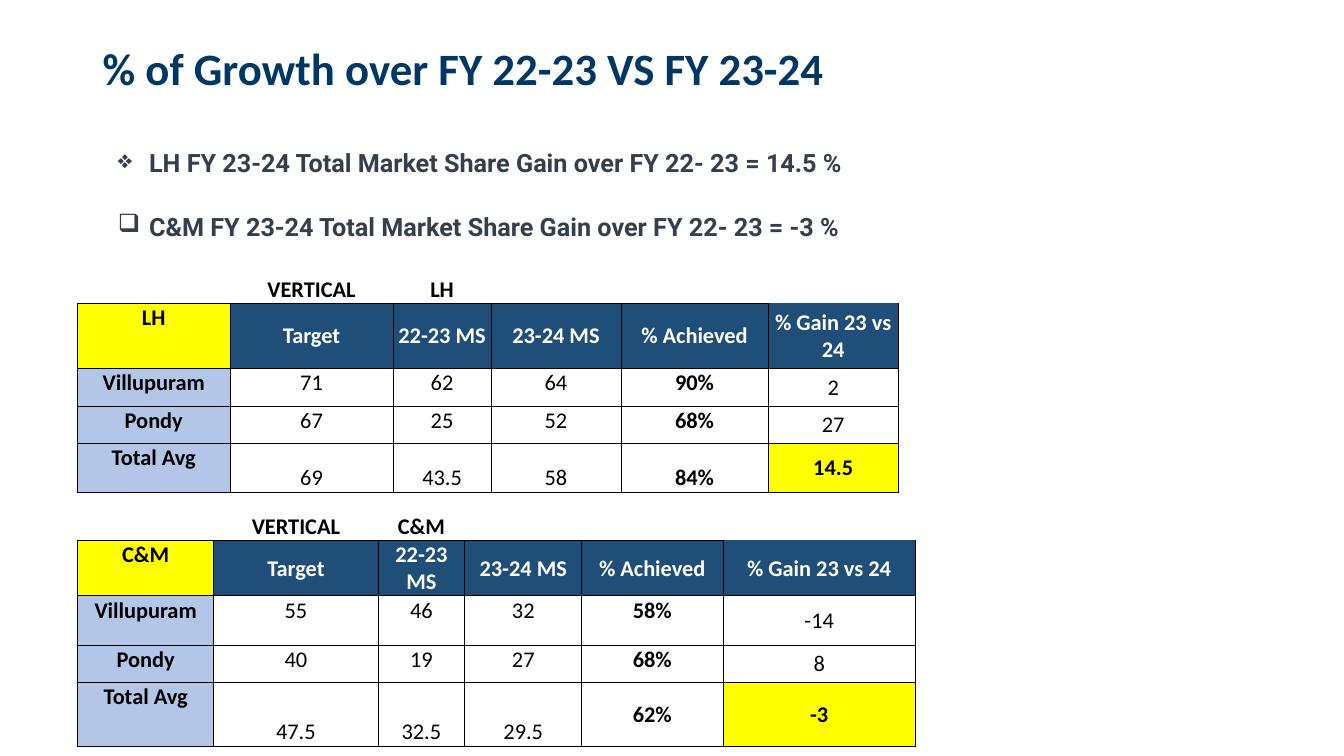
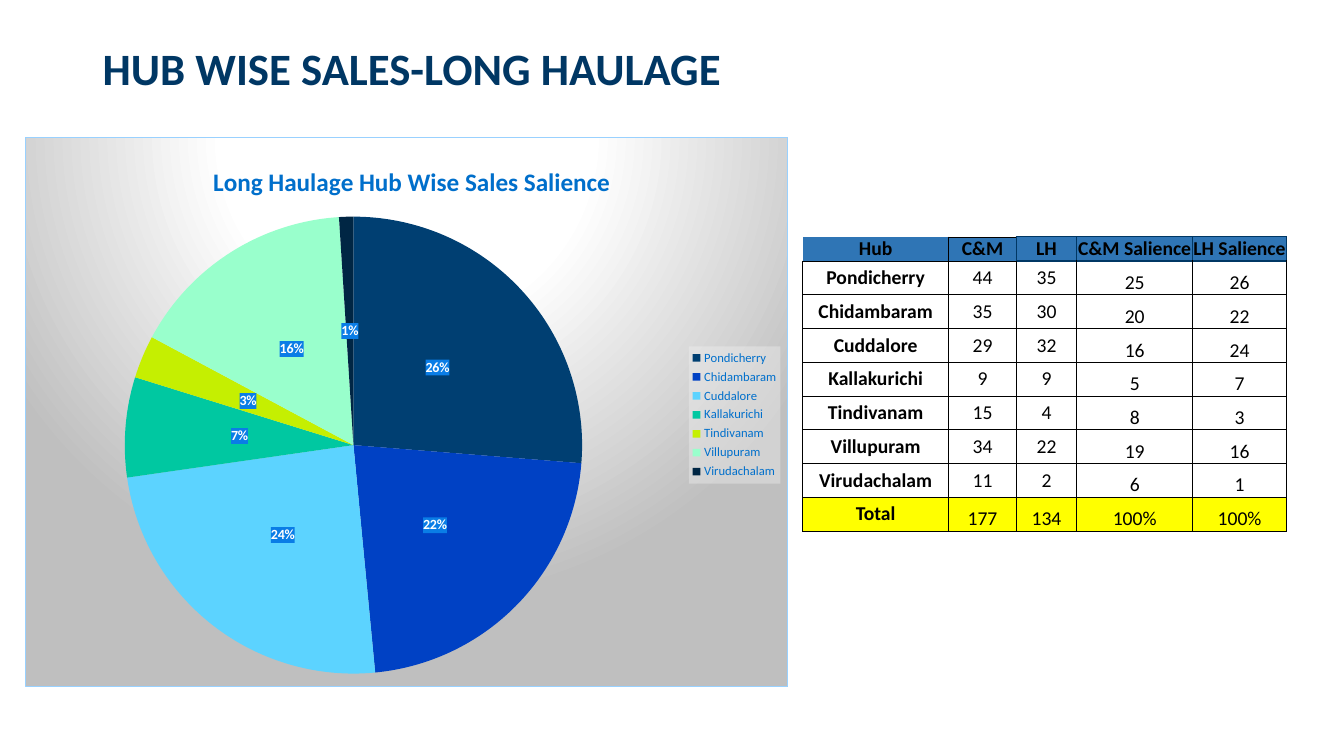
from dataclasses import dataclass

from lxml import etree
from pptx import Presentation
from pptx.chart.data import CategoryChartData
from pptx.dml.color import RGBColor
from pptx.enum.chart import XL_CHART_TYPE, XL_LABEL_POSITION, XL_LEGEND_POSITION
from pptx.enum.text import MSO_ANCHOR, PP_ALIGN
from pptx.oxml import parse_xml
from pptx.oxml.ns import qn
from pptx.util import Inches, Pt

PIE = XL_CHART_TYPE.PIE
LABEL_CENTER = XL_LABEL_POSITION.CENTER
LEGEND_RIGHT = XL_LEGEND_POSITION.RIGHT
CENTER = PP_ALIGN.CENTER
ANCHORS = {"t": MSO_ANCHOR.TOP, "m": MSO_ANCHOR.MIDDLE, "b": MSO_ANCHOR.BOTTOM}

# Palette
NAVY, INK, BLACK, WHITE = "003764", "353F4C", "000000", "FFFFFF"
YELLOW, PALE_BLUE, HEADER_BLUE, HUB_BLUE = "FFFF00", "B4C6E7", "1F4E78", "2F75B5"
CHART_BLUE, LABEL_BLUE = "006FCB", "0A7DE6"
SLICES = ["003F72", "0041C4", "5CD3FF", "00C8A1", "C5EF01", "99FFCC", "002644"]

BODY_FONT, BULLET_FONT = "Calibri", "Roboto"
NO_TABLE_STYLE = "{2D5ABB26-0587-4C30-8999-92F81FD0307C}"
NAMESPACES = (
    'xmlns:a="http://schemas.openxmlformats.org/drawingml/2006/main" '
    'xmlns:c="http://schemas.openxmlformats.org/drawingml/2006/chart"'
)
ALL_EDGES = "LRTB"


def rgb(value):
    return RGBColor.from_string(value)


def grid(cells):
    """Turn grid cells, ten to the inch, into a length."""
    return Inches(cells / 10)


def set_font(font, size, color, bold=False, name=BODY_FONT):
    font.name, font.size, font.bold = name, Pt(size), bold
    font.color.rgb = rgb(color)


def shape_properties(content):
    return parse_xml(f"<c:spPr {NAMESPACES}>{content}</c:spPr>")


def solid(color, alpha=100):
    return (f'<a:solidFill><a:srgbClr val="{color}">'
            f'<a:alpha val="{alpha * 1000}"/></a:srgbClr></a:solidFill>')


def place(element, index, **shares):
    """Position a chart part by shares of the chart's size."""
    for old in element.findall(qn("c:layout")):
        element.remove(old)
    modes = "".join(f'<c:{axis}Mode val="edge"/>' for axis in "xy")
    target = '<c:layoutTarget val="inner"/>' if index == 0 else ""
    values = "".join(f'<c:{key} val="{share}"/>' for key, share in shares.items())
    element.insert(index, parse_xml(
        f"<c:layout {NAMESPACES}><c:manualLayout>{target}{modes}{values}"
        "</c:manualLayout></c:layout>"))


@dataclass
class CellStyle:
    anchor: str
    bold: bool = False
    color: str = BLACK
    fill: str = ""
    edges: str = ALL_EDGES
    heavy_edges: str = ""


class Deck:
    def __init__(self):
        self.presentation = Presentation()
        self.presentation.slide_width = Inches(13.33)
        self.presentation.slide_height = Inches(7.5)
        self.slide = None

    def new_slide(self, title):
        self.slide = self.presentation.slides.add_slide(self.presentation.slide_layouts[6])
        frame = self.text(9.2, 4, 111.8, 5.9, title, 32, NAVY)
        frame.vertical_anchor = ANCHORS["b"]
        frame.paragraphs[0].line_spacing = 0.9

    def text(self, left, top, width, height, text, size, color, name=BODY_FONT):
        box = self.slide.shapes.add_textbox(grid(left), grid(top), grid(width), grid(height))
        frame = box.text_frame
        frame.word_wrap = True
        frame.text = text
        set_font(frame.paragraphs[0].runs[0].font, size, color, True, name)
        return frame

    def bullet(self, top, mark, text):
        frame = self.text(10.7, top, 77.1, 4, text, 18, INK, BULLET_FONT)
        properties = frame.paragraphs[0]._p.get_or_add_pPr()
        indent = grid(3.1)
        properties.set("marL", str(indent))
        properties.set("indent", str(-indent))
        etree.SubElement(properties, qn("a:buChar")).set("char", mark)

    def table(self, left, top, widths, heights, values, style, size, margin):
        frame = self.slide.shapes.add_table(
            len(heights), len(widths), grid(left), grid(top),
            grid(sum(widths)), grid(sum(heights)))
        table = frame.table
        table.first_row = table.horz_banding = False
        table._tbl.tblPr.find(qn("a:tableStyleId")).text = NO_TABLE_STYLE
        for column, width in zip(table.columns, widths):
            column.width = grid(width)
        for row, height in zip(table.rows, heights):
            row.height = grid(height)
        for row, texts in enumerate(values):
            for column, text in enumerate(texts):
                self.cell(table.cell(row, column), text, style(row, column), size, margin)

    def cell(self, cell, text, style, size, margin):
        cell.margin_left = cell.margin_right = cell.margin_top = grid(margin)
        cell.margin_bottom = 0
        cell.vertical_anchor = ANCHORS[style.anchor]
        self.borders(cell, style)
        if style.fill:
            cell.fill.solid()
            cell.fill.fore_color.rgb = rgb(style.fill)
        else:
            cell.fill.background()
        if text:
            cell.text_frame.text = text
            paragraph = cell.text_frame.paragraphs[0]
            paragraph.alignment = CENTER
            set_font(paragraph.runs[0].font, size, style.color, style.bold)

    def borders(self, cell, style):
        properties = cell._tc.get_or_add_tcPr()
        for edge in ALL_EDGES:
            if edge in style.heavy_edges:
                width, paint = Pt(1), solid(NAVY)
            elif edge in style.edges:
                width, paint = Pt(0.5), solid(BLACK)
            else:
                width, paint = 0, "<a:noFill/>"
            properties.append(parse_xml(
                f'<a:ln{edge} {NAMESPACES} w="{width}">{paint}</a:ln{edge}>'))

    def pie(self, left, top, width, height, title, categories, values):
        data = CategoryChartData()
        data.categories = categories
        data.add_series("Series 1", values)
        chart = self.slide.shapes.add_chart(
            PIE, grid(left), grid(top), grid(width), grid(height), data).chart
        set_font(chart.font, 10, NAVY)

        # Title and legend
        chart.has_title = True
        title_frame = chart.chart_title.text_frame
        title_frame.text = title
        set_font(title_frame.paragraphs[0].runs[0].font, 18, CHART_BLUE, True)
        place(chart.chart_title._element, 1, x=0.24, y=0.04)
        chart.has_legend = True
        legend = chart.legend
        legend.position = LEGEND_RIGHT
        legend.include_in_layout = False
        set_font(legend.font, 9, CHART_BLUE)
        place(legend._element, 1, x=0.87, y=0.38, w=0.12, h=0.25)
        legend._element.find(qn("c:overlay")).addnext(
            shape_properties(solid("F2F2F2", 39)))

        # Slices and labels
        plot = chart.plots[0]
        plot.vary_by_categories = True
        for index, color in enumerate(SLICES):
            fill = plot.series[0].points[index].format.fill
            fill.solid()
            fill.fore_color.rgb = rgb(color)
        plot.has_data_labels = True
        labels = plot.data_labels
        labels.show_percentage, labels.show_value = True, False
        labels.number_format, labels.number_format_is_linked = "0%", False
        labels.position = LABEL_CENTER
        set_font(labels.font, 10, WHITE, True)
        labels._element.find(qn("c:numFmt")).addnext(shape_properties(solid(LABEL_BLUE)))

        # Plot position and spotlight background
        chart_element = chart._chartSpace.find(qn("c:chart"))
        place(chart_element.find(qn("c:plotArea")), 0, x=0.13, y=0.14, w=0.6, h=0.84)
        stops = "".join(
            f'<a:gs pos="{position * 1000}"><a:srgbClr val="{color}"/></a:gs>'
            for position, color in [(0, WHITE), (39, WHITE), (100, "BFBFBF")])
        chart_element.addnext(shape_properties(
            f'<a:gradFill><a:gsLst>{stops}</a:gsLst><a:path path="circle">'
            '<a:fillToRect l="50000" t="-80000" r="50000" b="180000"/></a:path></a:gradFill>'
            f'<a:ln w="{Pt(0.75)}">{solid("99D1FF")}</a:ln>'))


def growth_style(total_anchors):
    anchors = ["bbbbbb", "tmmmmm", "tttttm", "tttttm", total_anchors]

    def style(row, column):
        result = CellStyle(anchors[row][column], row < 2 or column in (0, 4))
        if row == 0:
            result.edges = "B" if column < 5 else ""
        elif row == 1 and column:
            result.color, result.fill = WHITE, HEADER_BLUE
            result.edges = "LRB" if column == 5 else ALL_EDGES
        elif column == 0:
            result.fill = YELLOW if row == 1 else PALE_BLUE
        elif (row, column) == (4, 5):
            result.bold, result.fill = True, YELLOW
        return result

    return style


def hub_style(row, column):
    result = CellStyle("m" if column < 3 else "b", row == 0 or column == 0)
    if row == 0:
        result.anchor, result.fill = "t" if column == 1 else "b", HUB_BLUE
        result.edges = "RB" if column == 0 else ALL_EDGES
        result.heavy_edges = ["", "R"][column] if column < 2 else ALL_EDGES
    elif row == 1 and column > 1:
        result.heavy_edges = "T"
    elif row == 8:
        result.anchor, result.fill = "b" if column else "m", YELLOW
    return result


def growth_table(deck, name, top, widths, heights, total_anchors, results):
    values = [
        ["", "VERTICAL", name, "", "", ""],
        [name, "Target", "22-23 MS", "23-24 MS", "% Achieved", "% Gain 23 vs 24"],
    ]
    places = ["Villupuram", "Pondy", "Total Avg"]
    values += [[label, *result.split()] for label, result in zip(places, results)]
    deck.table(7.7, top, widths, heights, values, growth_style(total_anchors), 16, 0.1)


def main():
    deck = Deck()

    # Growth by vertical
    deck.new_slide("% of Growth over FY 22-23 VS FY 23-24")
    growth_table(deck, "LH", 26.3, [15.1, 16.2, 9.7, 12.9, 14.6, 12.9],
                 [3.8, 6.4, 3.8, 3.7, 4.8], "tbbbbm",
                 ["71 62 64 90% 2", "67 25 52 68% 27", "69 43.5 58 84% 14.5"])
    growth_table(deck, "C&M", 48.7, [13.5, 16.3, 8.6, 11.6, 14, 19.1],
                 [4.9, 5.5, 4.9, 3.7, 6.3], "tbbbmm",
                 ["55 46 32 58% -14", "40 19 27 68% 8", "47.5 32.5 29.5 62% -3"])
    deck.bullet(14.1, "❖", "LH FY 23-24 Total Market Share Gain over FY 22- 23 = 14.5 %")
    deck.bullet(20.5, "❑", "C&M FY 23-24 Total Market Share Gain over FY 22- 23 = -3 %")

    # Sales by hub
    deck.new_slide("HUB WISE SALES-LONG HAULAGE")
    hubs = [
        ("Pondicherry", 44, 35, 25, 26), ("Chidambaram", 35, 30, 20, 22),
        ("Cuddalore", 29, 32, 16, 24), ("Kallakurichi", 9, 9, 5, 7),
        ("Tindivanam", 15, 4, 8, 3), ("Villupuram", 34, 22, 19, 16),
        ("Virudachalam", 11, 2, 6, 1),
    ]
    values = [["Hub", "C&M", "LH", "C&M Salience", "LH Salience"]]
    values += [[str(value) for value in hub] for hub in hubs]
    values.append(["Total", "177", "134", "100%", "100%"])
    deck.table(79.6, 23.5, [14.5, 6.7, 6, 11.5, 9.3], [2.4] + [3.35] * 8,
               values, hub_style, 14, 0)
    deck.pie(2.5, 13.6, 75.7, 54.6, "Long Haulage Hub Wise Sales Salience",
             [hub[0] for hub in hubs], [hub[4] for hub in hubs])

    deck.presentation.save("out.pptx")


if __name__ == "__main__":
    main()
